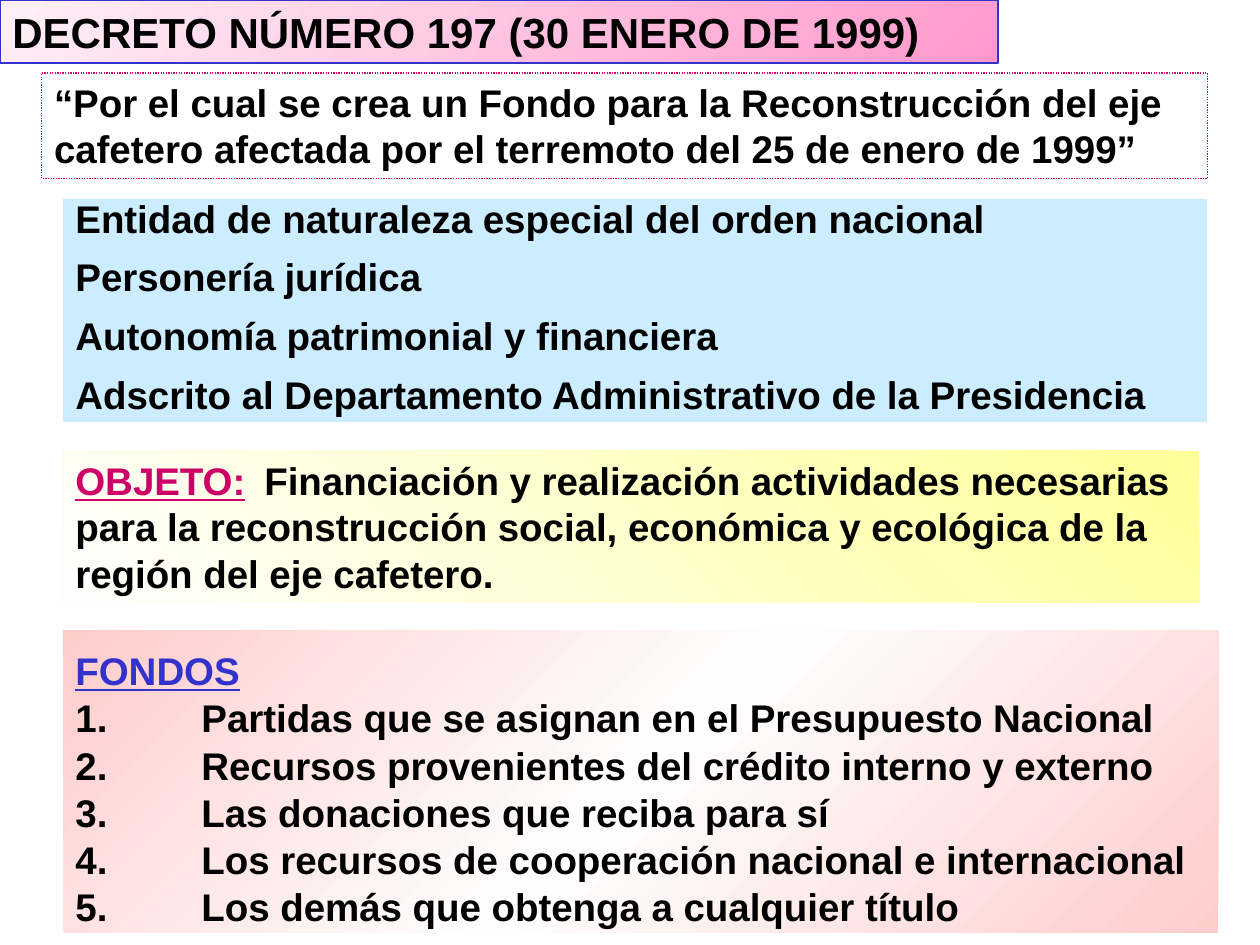
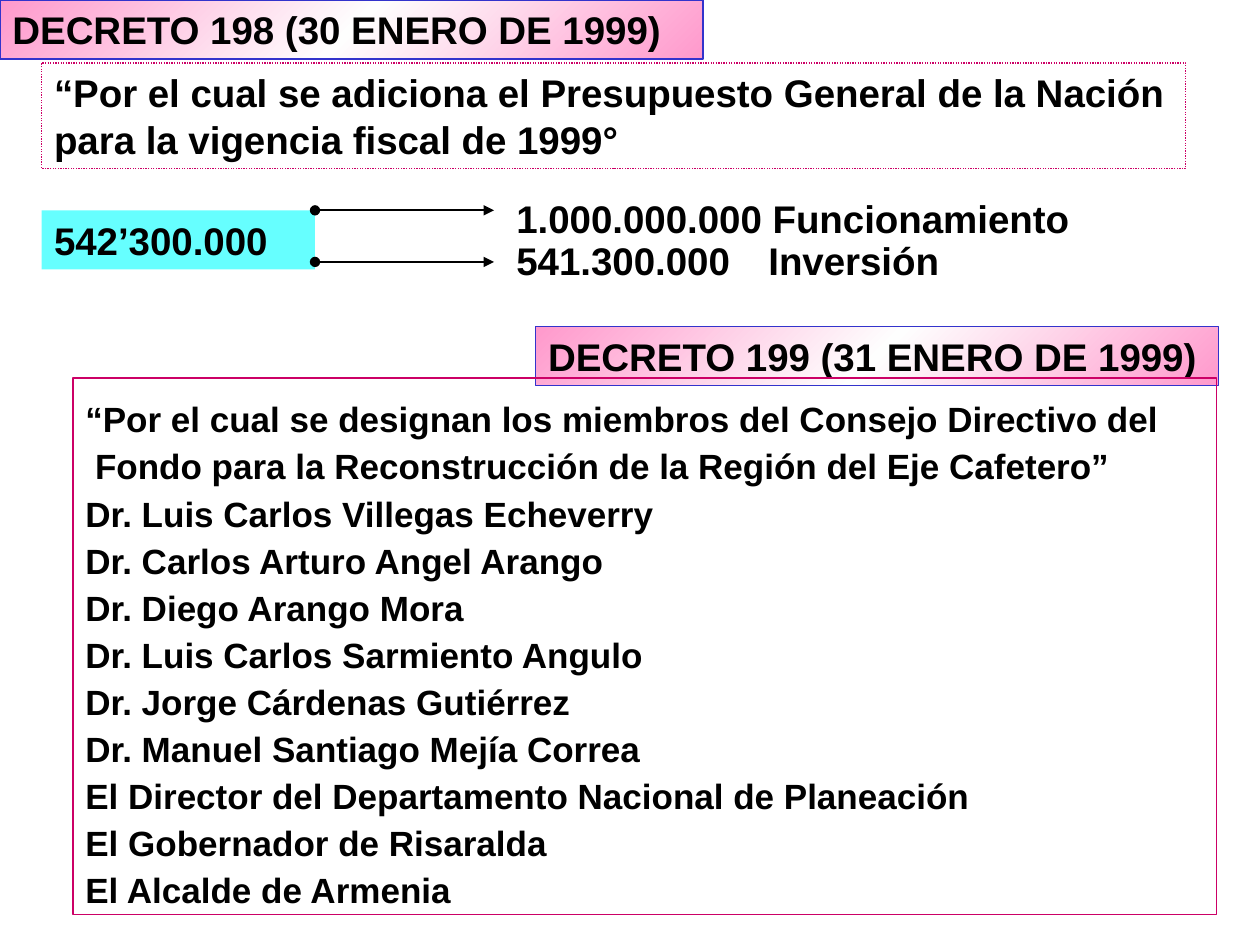
"""Build two slides on the 1999 decrees for the coffee region."""
import copy
import pptx
import pptx.dml.color
import pptx.enum.dml
import pptx.enum.shapes
import pptx.enum.text
import pptx.oxml
import pptx.oxml.ns
import pptx.util

Cm = pptx.util.Cm
Pt = pptx.util.Pt

FONT = "Arial"
INK, BLUE, ROSE = "000000", "3333CC", "CC0066"
PINK = [(0, "FF99CC"), (0.5, "FEFEFE"), (1, "FF99CC")]
FADE = [(0, "FF99CC"), (1, "FEF0F7")]
BLUSH = [(0, "FFCCCC"), (0.5, "FEFEFE"), (1, "FFCCCC")]
LEMON = [(0, "FFFF99"), (1, "FEFEFE")]
BANNER = dict(fill=PINK, line=BLUE)
QUOTE = dict(line=ROSE, dots=True)

TRAITS = [
    "Entidad de naturaleza especial del orden nacional",
    "Personería jurídica",
    "Autonomía patrimonial y financiera",
    "Adscrito al Departamento Administrativo de la Presidencia",
]
FUNDS = [
    [("FONDOS", BLUE)],
    "Partidas que se asignan en el Presupuesto Nacional",
    "Recursos provenientes del crédito interno y externo",
    "Las donaciones que reciba para sí",
    "Los recursos de cooperación nacional e internacional",
    "Los demás que obtenga a cualquier título",
]
GOAL = [
    ("OBJETO:", ROSE),
    ("\tFinanciación y realización actividades necesarias para la "
     "reconstrucción social, económica y ecológica de la región del eje "
     "cafetero.", INK),
]
COUNCIL = [
    "“Por el cual se designan los miembros del Consejo Directivo del",
    " Fondo para la Reconstrucción de la Región del Eje Cafetero”",
    "Dr. Luis Carlos Villegas Echeverry",
    "Dr. Carlos Arturo Angel Arango",
    "Dr. Diego Arango Mora",
    "Dr. Luis Carlos Sarmiento Angulo",
    "Dr. Jorge Cárdenas Gutiérrez",
    "Dr. Manuel Santiago Mejía Correa",
    "El Director del Departamento Nacional de Planeación",
    "El Gobernador de Risaralda",
    "El Alcalde de Armenia",
]

# kind, (left, top, width, height), paragraphs, style
FUND = [
    ("title", (0, 0, 20.12, 1.27), ["DECRETO NÚMERO 197 (30 ENERO DE 1999)"],
     dict(fill=FADE, line=BLUE, size=24)),
    ("box", (0.84, 1.47, 23.5, 2.13),
     ["“Por el cual se crea un Fondo para la Reconstrucción del eje cafetero "
      "afectada por el terremoto del 25 de enero de 1999”"], QUOTE),
    ("body", (1.27, 4.01, 23.06, 4.5), TRAITS,
     dict(fill=[(0, "CCECFF")], lead=0.75)),
    ("body", (1.27, 12.7, 23.29, 6.1), FUNDS,
     dict(fill=BLUSH, lead=0.5, inset=0.75, count=True)),
    ("box", (1.27, 9.09, 22.91, 3.05), [GOAL],
     dict(fill=LEMON, angle=135, tab=3.87)),
]
BUDGET = [
    ("title", (0, 0, 14.17, 1.19), ["DECRETO 198 (30 ENERO DE 1999)"], BANNER),
    ("box", (0.84, 1.27, 23.06, 2.13),
     ["“Por el cual se adiciona el Presupuesto General de la Nación para la "
      "vigencia fiscal de 1999°"], QUOTE),
    ("box", (0.84, 4.24, 5.51, 1.19), ["542’300.000"],
     dict(fill=[(0, "66FFFF")])),
    ("box", (10.16, 3.81, 13.13, 1.19), ["1.000.000.000 Funcionamiento"], {}),
    ("box", (10.16, 4.65, 13.13, 1.19), ["541.300.000\tInversión"],
     dict(tab=4.96)),
    ("box", (10.8, 6.58, 13.77, 1.19), ["DECRETO 199 (31 ENERO DE 1999)"],
     BANNER),
    ("body", (1.47, 7.62, 23.06, 10.82), COUNCIL,
     dict(line=ROSE, size=20, lead=0.6, inset=0.7)),
]
ARROWS = [(4.24, 1), (5.28, 0.75)]
SPAN = 6.35, 9.96


def hue(text):
    """Turn a hex string into a colour."""
    return pptx.dml.color.RGBColor.from_string(text)


def node(home, tag, **attrs):
    """Append a drawing element to its parent."""
    item = pptx.oxml.parse_xml(f'<a:{tag} {pptx.oxml.ns.nsdecls("a")}/>')
    for key, val in attrs.items():
        item.set(key, str(val))
    home.append(item)
    return item


def paint(shape, stops, angle):
    """Fill a shape with one colour or a gradient."""
    fill = shape.fill
    if not stops:
        fill.background()
    elif len(stops) == 1:
        fill.solid()
        fill.fore_color.rgb = hue(stops[0][1])
    else:
        fill.gradient()
        fill.gradient_angle = 360 - angle
        marks = shape.element.xpath(".//a:gsLst")[0]
        if len(stops) == 3:
            marks.append(copy.deepcopy(marks[0]))
        for mark, (pos, tone) in zip(fill.gradient_stops, stops):
            mark.position = pos
            mark.color.rgb = hue(tone)


def write(frame, paras, size, lead, tab, count):
    """Write paragraphs run by run."""
    for i, runs in enumerate(paras):
        para = frame.paragraphs[0] if i == 0 else frame.add_paragraph()
        para.alignment = pptx.enum.text.PP_ALIGN.LEFT
        para.line_spacing = lead
        para.space_before = Pt(size * 0.625 if i else 0)
        props = para._p.get_or_add_pPr()
        hang = Cm(2.54) if count and i else 0
        props.set("marL", str(hang))
        props.set("indent", str(-hang))
        if hang:
            node(props, "buFont", typeface=FONT)
            node(props, "buAutoNum", type="arabicPeriod")
        else:
            node(props, "buNone")
        if tab:
            node(node(props, "tabLst"), "tab", pos=Cm(tab), algn="l")
        for text, tone in [(runs, INK)] if isinstance(runs, str) else runs:
            run = para.add_run()
            run.text = text
            font = run.font
            font.name, font.size, font.bold = FONT, Pt(size), True
            font.underline = tone != INK
            font.color.rgb = hue(tone)


def place(shape, spot, paras, fill=None, line=None, dots=False, angle=225,
          size=22, lead=1, inset=0.13, tab=None, count=False):
    """Set place, look and text of a shape, and bring it to the front."""
    shape.left, shape.top, shape.width, shape.height = map(Cm, spot)
    shape.element.getparent().append(shape.element)
    paint(shape, fill, angle)
    if line:
        shape.line.color.rgb = hue(line)
        shape.line.width = Pt(0.75)
    if dots:
        shape.line.dash_style = pptx.enum.dml.MSO_LINE.ROUND_DOT
    frame = shape.text_frame
    frame.word_wrap = True
    frame.auto_size = pptx.enum.text.MSO_AUTO_SIZE.NONE
    frame.vertical_anchor = pptx.enum.text.MSO_ANCHOR.TOP
    frame.margin_left = frame.margin_right = Cm(0.25)
    frame.margin_top, frame.margin_bottom = Cm(inset), Cm(0.13)
    write(frame, paras, size, lead, tab, count)


def build(deck, layout, parts):
    """Add a slide and place its parts."""
    slide = deck.slides.add_slide(deck.slide_layouts[layout])
    title, *lists = list(slide.placeholders)
    for kind, spot, paras, style in parts:
        if kind == "title":
            shape = title
        elif kind == "body":
            shape = lists.pop(0)
        else:
            shape = slide.shapes.add_textbox(*map(Cm, spot))
        place(shape, spot, paras, **style)
    return slide


def arrow(slide, top, width):
    """Draw an arrow that starts with a dot."""
    left, right = SPAN
    link = slide.shapes.add_connector(
        pptx.enum.shapes.MSO_CONNECTOR.STRAIGHT,
        Cm(left), Cm(top), Cm(right), Cm(top))
    link.line.color.rgb = hue(INK)
    link.line.width = Pt(width)
    edge = link.line._get_or_add_ln()
    node(edge, "headEnd", type="oval")
    node(edge, "tailEnd", type="triangle")
    node(link.element.spPr, "effectLst")


def main():
    """Build and save the deck."""
    deck = pptx.Presentation()
    deck.slide_width, deck.slide_height = Cm(25.4), Cm(19.05)
    build(deck, 3, FUND)
    slide = build(deck, 1, BUDGET)
    for top, width in ARROWS:
        arrow(slide, top, width)
    deck.save("out.pptx")


if __name__ == "__main__":
    main()
